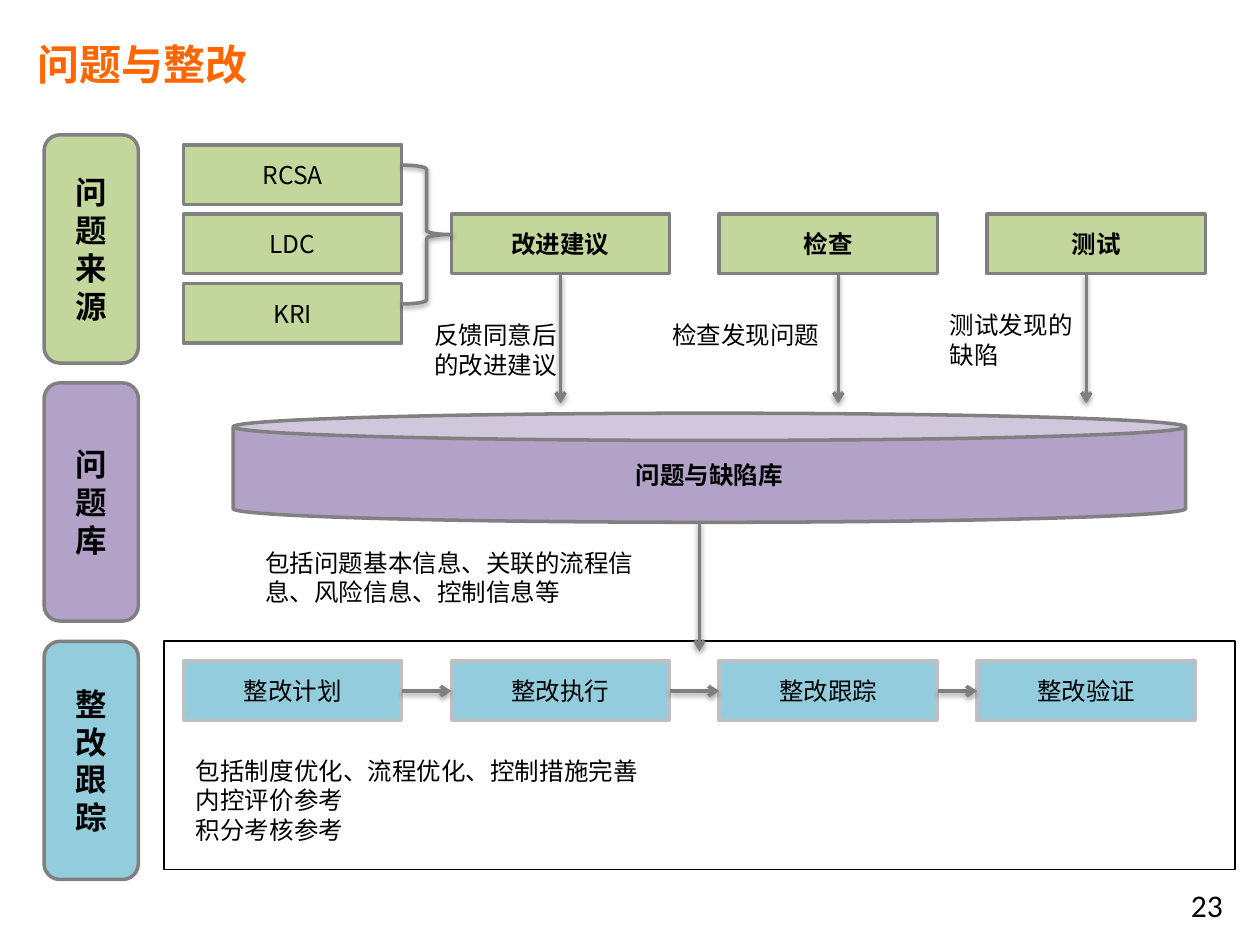
import dataclasses

import lxml.etree
import pptx
import pptx.dml.color
import pptx.enum.shapes
import pptx.enum.text
import pptx.oxml.ns
import pptx.util

Cm = pptx.util.Cm
Pt = pptx.util.Pt
qn = pptx.oxml.ns.qn
Shape = pptx.enum.shapes.MSO_SHAPE
Align = pptx.enum.text.PP_ALIGN
Anchor = pptx.enum.text.MSO_ANCHOR


@dataclasses.dataclass(frozen=True)
class Theme:
    font: str = "Noto Sans CJK SC"
    number_font: str = "Calibri"
    title_size: int = 24
    stage_size: int = 18
    body_size: int = 14
    leading: float = 1.2
    accent: str = "FF6600"
    ink: str = "000000"
    source: str = "C3D69B"
    store: str = "B3A2C7"
    follow_up: str = "93CDDD"
    outline: str = "808080"
    pale_outline: str = "BFBFBF"
    arrow: str = "7F7F7F"


THEME = Theme()
COLUMNS = [3.7 + 5.4 * i for i in range(4)]
BOX_WIDTH, BOX_HEIGHT = 4.4, 1.2
SOURCE_TOP, SOURCE_STEP = 2.92, 1.4
ENTRY_TOP = SOURCE_TOP + SOURCE_STEP
STEP_TOP = 13.33


def rgb(value):
    return pptx.dml.color.RGBColor.from_string(value)


def write(box, text, size=THEME.body_size, bold=False, color=THEME.ink,
          font=THEME.font, align=Align.LEFT, anchor=Anchor.TOP):
    """Fill a shape with text, one paragraph per line of the string."""
    frame = box.text_frame
    frame.word_wrap = True
    frame.vertical_anchor = anchor
    for index, line in enumerate(text.split("\n")):
        para = frame.add_paragraph() if index else frame.paragraphs[0]
        para.alignment = align
        para.line_spacing = Pt(round(size * THEME.leading, 1))
        span = para.add_run()
        span.text = line
        span.font.size = Pt(size)
        span.font.bold = bold
        span.font.color.rgb = rgb(color)
        span.font.name = font
        properties = span._r.get_or_add_rPr()
        lxml.etree.SubElement(properties, qn("a:ea"), typeface=font)


def add_text(page, text, left, top, width, height, **style):
    box = page.shapes.add_textbox(Cm(left), Cm(top), Cm(width), Cm(height))
    write(box, text, **style)


def add_box(page, kind, left, top, width, height, fill=None,
            outline=THEME.outline, weight=2, text="", **style):
    box = page.shapes.add_shape(kind, Cm(left), Cm(top), Cm(width), Cm(height))
    box.shadow.inherit = False
    if fill:
        box.fill.solid()
        box.fill.fore_color.rgb = rgb(fill)
    else:
        box.fill.background()
    box.line.color.rgb = rgb(outline)
    box.line.width = Pt(weight)
    if text:
        write(box, text, align=Align.CENTER, anchor=Anchor.MIDDLE, **style)
    return box


def cast_shadow(shape):
    """Give a line or brace a soft shadow straight below it."""
    properties = shape._element.spPr
    effects = properties.find(qn("a:effectLst"))
    if effects is None:
        effects = lxml.etree.SubElement(properties, qn("a:effectLst"))
    shadow = lxml.etree.SubElement(
        effects, qn("a:outerShdw"), blurRad=str(Pt(3.1)), dist=str(Pt(1.6)),
        dir="5400000", rotWithShape="0")
    color = lxml.etree.SubElement(shadow, qn("a:srgbClr"), val=THEME.ink)
    lxml.etree.SubElement(color, qn("a:alpha"), val="38000")


def add_arrow(page, start_x, start_y, end_x, end_y):
    arrow = page.shapes.add_connector(
        pptx.enum.shapes.MSO_CONNECTOR.STRAIGHT,
        Cm(start_x), Cm(start_y), Cm(end_x), Cm(end_y))
    arrow.line.color.rgb = rgb(THEME.arrow)
    arrow.line.width = Pt(2)
    lxml.etree.SubElement(arrow.line._get_or_add_ln(), qn("a:tailEnd"), type="arrow")
    cast_shadow(arrow)


def add_stages(page):
    stages = [("问题来源", 2.72, 4.6, THEME.source),
              ("问题库", 7.72, 4.8, THEME.store),
              ("整改跟踪", 12.93, 4.8, THEME.follow_up)]
    for text, top, height, fill in stages:
        add_box(page, Shape.ROUNDED_RECTANGLE, 0.89, top, 1.9, height, fill,
                text=text, size=THEME.stage_size, bold=True)


def add_sources(page):
    for row, text in enumerate(["RCSA", "LDC", "KRI"]):
        add_box(page, Shape.RECTANGLE, COLUMNS[0], SOURCE_TOP + row * SOURCE_STEP,
                BOX_WIDTH, BOX_HEIGHT, THEME.source, text=text)
    for left, text in zip(COLUMNS[1:], ["改进建议", "检查", "测试"]):
        add_box(page, Shape.RECTANGLE, left, ENTRY_TOP, BOX_WIDTH, BOX_HEIGHT,
                THEME.source, text=text, bold=True)
    cast_shadow(add_box(page, Shape.RIGHT_BRACE, COLUMNS[0] + BOX_WIDTH, 3.33,
                        1, 2.8, outline=THEME.arrow))


def add_store(page):
    add_box(page, Shape.CAN, 4.7, 8.33, 19.2, 2.2, THEME.store,
            text="问题与缺陷库", bold=True)
    for x in (11.3, 16.9, 21.9):
        add_arrow(page, x, ENTRY_TOP + BOX_HEIGHT, x, 8.13)
    add_text(page, "反馈同意后的改进建议", 8.5, 6.33, 3.2, 1.45)
    add_text(page, "检查发现问题", 13.3, 6.33, 3.6, 0.86)
    add_text(page, "测试发现的缺陷", 18.9, 6.13, 3.2, 1.45)
    add_text(page, "包括问题基本信息、关联的流程信息、风险信息、控制信息等",
             5.1, 10.92, 8.2, 1.45)


def add_follow_up(page):
    lefts = COLUMNS[:3] + [19.7]
    for left, text in zip(lefts, ["整改计划", "整改执行", "整改跟踪", "整改验证"]):
        add_box(page, Shape.RECTANGLE, left, STEP_TOP, BOX_WIDTH, BOX_HEIGHT,
                THEME.follow_up, THEME.pale_outline, text=text)
    add_box(page, Shape.RECTANGLE, 3.3, 12.93, 21.6, 4.6,
            outline=THEME.ink, weight=1)
    add_text(page, "包括制度优化、流程优化、控制措施完善\n内控评价参考\n积分考核参考",
             3.7, 15.11, 21.2, 2.64)
    add_arrow(page, 14.1, 10.52, 14.1, 13.13)
    middle = STEP_TOP + BOX_HEIGHT / 2
    for left, following in zip(lefts, lefts[1:]):
        add_arrow(page, left + BOX_WIDTH, middle, following, middle)


def main():
    deck = pptx.Presentation()
    deck.slide_width, deck.slide_height = Cm(25.4), Cm(19.05)
    page = deck.slides.add_slide(deck.slide_layouts[6])
    add_text(page, "问题与整改", 0.5, 0.6, 12.8, 1.38, size=THEME.title_size,
             bold=True, color=THEME.accent, anchor=Anchor.MIDDLE)
    add_text(page, "23", 18.98, 17.74, 5.92, 1.31, size=THEME.stage_size,
             font=THEME.number_font, align=Align.RIGHT)
    add_stages(page)
    add_sources(page)
    add_store(page)
    add_follow_up(page)
    deck.save("out.pptx")


if __name__ == "__main__":
    main()
